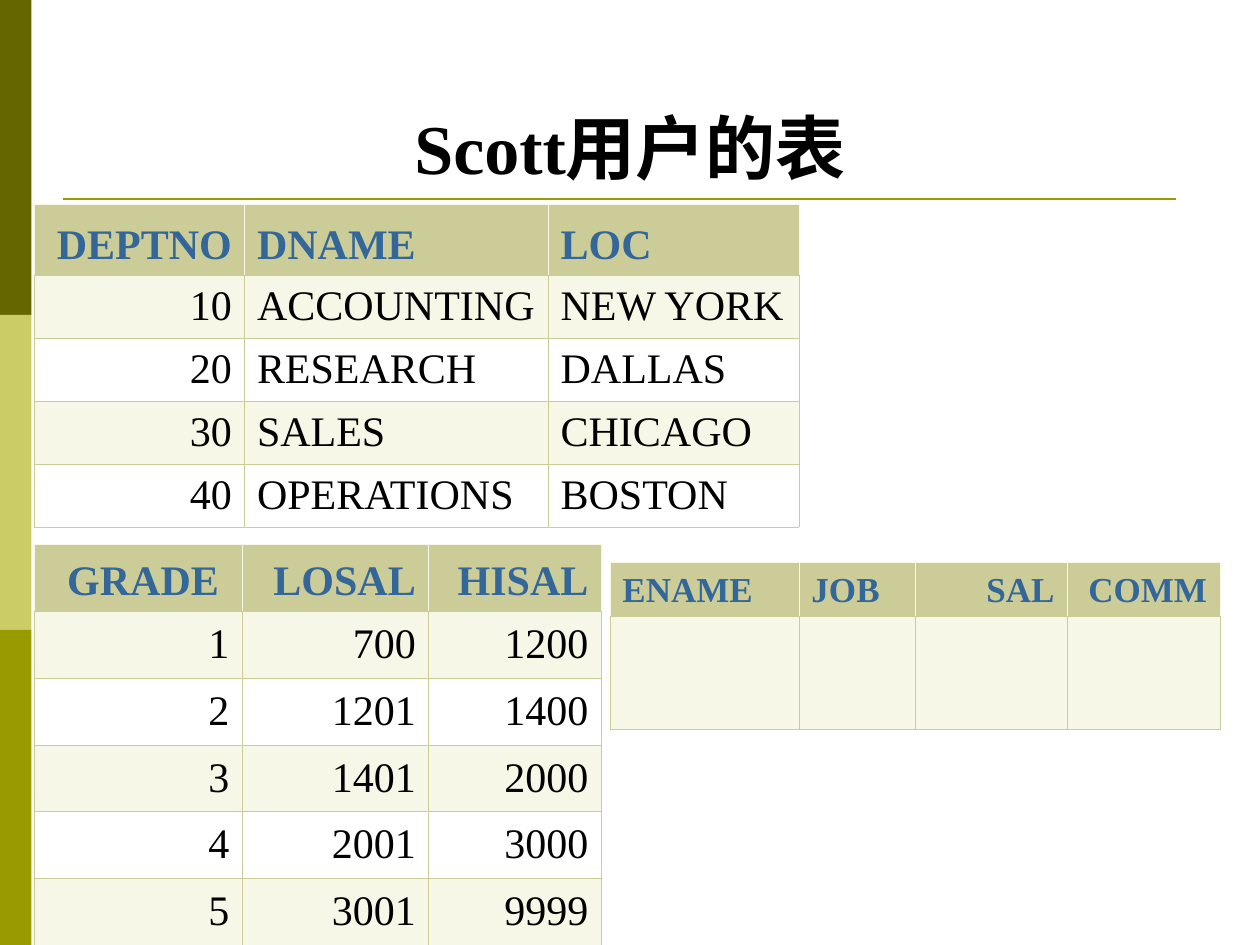
import lxml.etree
import pptx
import pptx.dml.color
import pptx.enum.shapes
import pptx.enum.text
import pptx.oxml.ns
import pptx.util

LEFT = pptx.enum.text.PP_ALIGN.LEFT
RIGHT = pptx.enum.text.PP_ALIGN.RIGHT
CENTER = pptx.enum.text.PP_ALIGN.CENTER


def color(value):
    return pptx.dml.color.RGBColor.from_string(value)


class Deck:
    columns, rows = 100, 75
    font = "Times New Roman"
    ink, heading = "000000", "336699"
    accent, band, header = "999900", "F7F7E7", "CCCC99"
    border_width = 0.06

    def __init__(self):
        self.presentation = pptx.Presentation()
        self.presentation.slide_width = pptx.util.Inches(10)
        self.presentation.slide_height = pptx.util.Inches(7.5)
        self.slide = self.presentation.slides.add_slide(self.presentation.slide_layouts[5])

    def x(self, columns):
        return round(self.presentation.slide_width * columns / self.columns)

    def y(self, rows):
        return round(self.presentation.slide_height * rows / self.rows)

    def style(self, paragraph, size, ink, bold, alignment):
        paragraph.alignment = alignment
        paragraph.font.name = self.font
        paragraph.font.size = pptx.util.Pt(size)
        paragraph.font.bold = bold
        paragraph.font.color.rgb = color(ink)

    def title(self, text, left, top, width, height):
        shape = self.slide.shapes.title
        shape.left, shape.top = self.x(left), self.y(top)
        shape.width, shape.height = self.x(width), self.y(height)
        frame = shape.text_frame
        frame.text = text
        frame.auto_size = pptx.enum.text.MSO_AUTO_SIZE.NONE
        frame.vertical_anchor = pptx.enum.text.MSO_ANCHOR.BOTTOM
        self.style(frame.paragraphs[0], 40, self.ink, True, CENTER)

    def sidebar(self, width, fills):
        height = self.rows / len(fills)
        for index, fill in enumerate(fills):
            shape = self.slide.shapes.add_shape(
                pptx.enum.shapes.MSO_SHAPE.RECTANGLE,
                0, self.y(index * height), self.x(width), self.y(height))
            shape.shadow.inherit = False
            shape.fill.solid()
            shape.fill.fore_color.rgb = color(fill)
            shape.line.fill.background()

    def rule(self, left, right, top):
        connector = self.slide.shapes.add_connector(
            pptx.enum.shapes.MSO_CONNECTOR.STRAIGHT,
            self.x(left), self.y(top), self.x(right), self.y(top))
        connector.line.color.rgb = color(self.accent)
        connector.line.width = pptx.util.Pt(1.5)
        properties = connector.element.spPr
        lxml.etree.SubElement(properties, pptx.oxml.ns.qn("a:effectLst"))

    def borders(self, cell, sides, bottom):
        properties = cell._tc.get_or_add_tcPr()
        for tag, value in (("lnL", sides), ("lnR", sides), ("lnT", sides), ("lnB", bottom)):
            line = lxml.etree.SubElement(properties, pptx.oxml.ns.qn("a:" + tag))
            line.set("w", str(pptx.util.Pt(self.border_width)))
            fill = lxml.etree.SubElement(line, pptx.oxml.ns.qn("a:solidFill"))
            lxml.etree.SubElement(fill, pptx.oxml.ns.qn("a:srgbClr")).set("val", value)

    def cell(self, cell, text, size, alignment, row):
        is_header = row == 0
        self.borders(cell, self.band if is_header else self.header, self.header)
        cell.fill.solid()
        body = self.band if row % 2 else "FFFFFF"
        cell.fill.fore_color.rgb = color(self.header if is_header else body)
        anchor = pptx.enum.text.MSO_ANCHOR
        cell.vertical_anchor = anchor.BOTTOM if is_header else anchor.MIDDLE
        cell.text = text
        ink = self.heading if is_header else self.ink
        self.style(cell.text_frame.paragraphs[0], size, ink, is_header, alignment)

    def table(self, left, top, widths, heights, alignments, size, records):
        table = self.slide.shapes.add_table(
            len(heights), len(widths), self.x(left), self.y(top),
            self.x(sum(widths)), self.y(sum(heights))).table
        for column, width in zip(table.columns, widths):
            column.width = self.x(width)
        for row, height in zip(table.rows, heights):
            row.height = self.y(height)
        for row, record in enumerate(records):
            for column, text in enumerate(record):
                self.cell(table.cell(row, column), text, size, alignments[column], row)

    def save(self):
        self.presentation.save("out.pptx")


def main():
    deck = Deck()
    deck.sidebar(2.5, ["666600", "CCCC66", deck.accent])
    deck.rule(5, 93.3, 15.8)
    deck.title("Scott用户的表", 5, 5.2, 90, 10.3)
    deck.table(2.7, 16.2, [16.7, 24.1, 19.9], [5.6] + [5] * 4, [RIGHT, LEFT, LEFT], 24, [
        ["DEPTNO ", "DNAME", "LOC"],
        ["10", "ACCOUNTING", "NEW YORK"],
        ["20", "RESEARCH", "DALLAS"],
        ["30", "SALES", "CHICAGO"],
        ["40", "OPERATIONS", "BOSTON"],
    ])
    deck.table(2.7, 43.2, [16.5, 14.8, 13.7], [5.3] * 6, [RIGHT] * 3, 24, [
        ["GRADE ", "LOSAL", "HISAL"],
        ["1", "700", "1200"],
        ["2", "1201", "1400"],
        ["3", "1401", "2000"],
        ["4", "2001", "3000"],
        ["5", "3001", "9999"],
    ])
    deck.table(48.4, 44.6, [15, 9.2, 12.1, 12.1], [4.3, 9], [LEFT, LEFT, RIGHT, RIGHT], 20, [
        ["ENAME", "JOB", "SAL", "COMM"],
        [""] * 4,
    ])
    deck.save()


if __name__ == "__main__":
    main()
